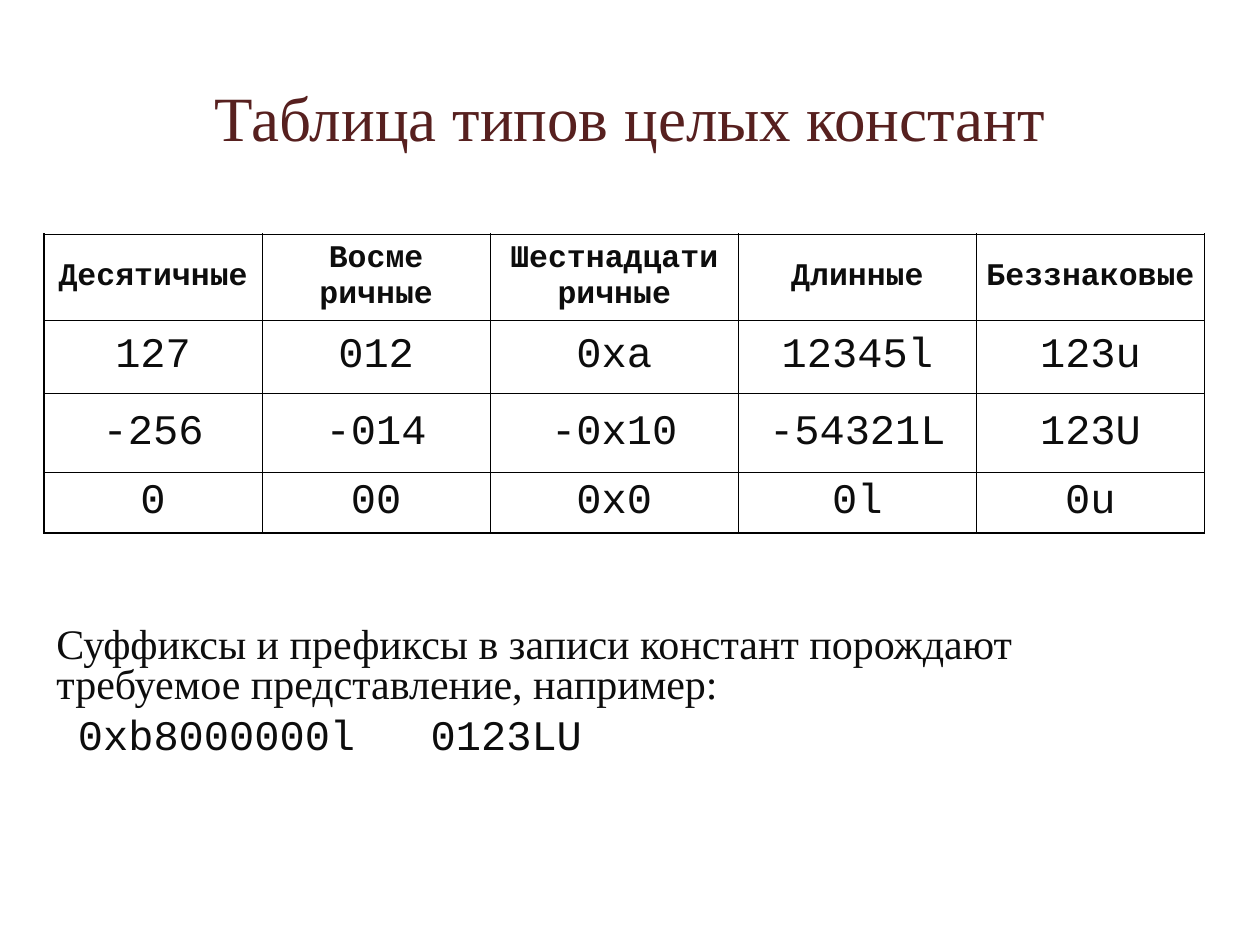
from dataclasses import dataclass

from lxml.etree import SubElement
from pptx import Presentation
from pptx.dml.color import RGBColor
from pptx.enum.text import MSO_ANCHOR as Anchor, PP_ALIGN as Align
from pptx.oxml.ns import qn
from pptx.util import Inches, Pt


@dataclass(frozen=True)
class TextStyle:
    font: str
    size: float
    color: str
    bold: bool = False


@dataclass(frozen=True)
class Theme:
    title: TextStyle = TextStyle("Times New Roman", 36, "57201F")
    header: TextStyle = TextStyle("Courier New", 18, "0D0D0D", True)
    code: TextStyle = TextStyle("Courier New", 24, "0D0D0D")
    prose: TextStyle = TextStyle("Times New Roman", 24, "0D0D0D")
    border: str = "000000"
    outer_width: float = 1.08
    inner_width: float = 0.45


@dataclass(frozen=True)
class ConstantKind:
    header: str
    width: float
    examples: tuple[str, ...]


THEME = Theme()
ROW_HEIGHTS = (0.68, 0.58, 0.63, 0.48)
KINDS = (
    ConstantKind("Десятичные", 1.73, ("127", "-256", "0")),
    ConstantKind("Восме\nричные", 1.81, ("012", "-014", "00")),
    ConstantKind("Шестнадцати\nричные", 1.97, ("0xa", "-0x10", "0x0")),
    ConstantKind("Длинные", 1.89, ("12345l", "-54321L", "0l")),
    ConstantKind("Беззнаковые", 1.81, ("123u", "123U", "0u")),
)


def write(para, text: str, style: TextStyle) -> None:
    para.text = text
    font = para.font
    font.name = style.font
    font.size = Pt(style.size)
    font.bold = style.bold
    font.color.rgb = RGBColor.from_string(style.color)


def add_border(cell, side: str, width: float) -> None:
    properties = cell._tc.get_or_add_tcPr()
    line = SubElement(properties, qn(f"a:ln{side}"), w=str(Pt(width)))
    fill = SubElement(line, qn("a:solidFill"))
    SubElement(fill, qn("a:srgbClr"), val=THEME.border)


def add_tabs(para, stops: tuple[float, ...]) -> None:
    tabs = SubElement(para._p.get_or_add_pPr(), qn("a:tabLst"))
    for stop in stops:
        SubElement(tabs, qn("a:tab"), pos=str(Inches(stop)), algn="l")


def format_cell(cell, text: str, style: TextStyle, outer: dict[str, bool]) -> None:
    cell.margin_left = cell.margin_right = Inches(0.02)
    cell.margin_top = cell.margin_bottom = Inches(0.05)
    cell.vertical_anchor = Anchor.MIDDLE
    for side, is_outer in outer.items():
        add_border(cell, side, THEME.outer_width if is_outer else THEME.inner_width)
    cell.fill.background()
    para = cell.text_frame.paragraphs[0]
    para.alignment = Align.CENTER
    write(para, text, style)


def add_title(page, text: str) -> None:
    title = page.shapes.title
    title.left, title.top = Inches(0.5), Inches(0.3)
    title.width, title.height = Inches(9), Inches(1.25)
    title.text_frame.vertical_anchor = Anchor.MIDDLE
    para = title.text_frame.paragraphs[0]
    para.alignment = Align.CENTER
    write(para, text, THEME.title)


def add_constants_table(page, kinds: tuple[ConstantKind, ...]) -> None:
    last_row, last_column = len(ROW_HEIGHTS) - 1, len(kinds) - 1
    table = page.shapes.add_table(
        len(ROW_HEIGHTS), len(kinds), Inches(0.35), Inches(1.86),
        Inches(sum(kind.width for kind in kinds)), Inches(sum(ROW_HEIGHTS)),
    ).table
    table.first_row = table.horz_banding = False
    for row, height in zip(table.rows, ROW_HEIGHTS):
        row.height = Inches(height)
    for column, kind in enumerate(kinds):
        table.columns[column].width = Inches(kind.width)
        for row, text in enumerate((kind.header, *kind.examples)):
            outer = {"L": column == 0, "R": column == last_column,
                     "T": row == 0, "B": row == last_row}
            style = THEME.code if row else THEME.header
            format_cell(table.cell(row, column), text, style, outer)


def add_explanation(page) -> None:
    box = page.shapes.add_textbox(Inches(0.35), Inches(4.93), Inches(9.13), Inches(1.26))
    frame = box.text_frame
    frame.word_wrap = True
    prose = frame.paragraphs[0]
    prose.line_spacing = 0.8
    write(prose, "Суффиксы и префиксы в записи констант порождают "
                 "требуемое представление, например:", THEME.prose)
    examples = frame.add_paragraph()
    examples.line_spacing = 0.8
    examples.space_before = Pt(6)
    add_tabs(examples, (0.17, 2.97))
    write(examples, "\t0xb8000000l\t0123LU", THEME.code)


def main() -> None:
    deck = Presentation()
    deck.slide_width, deck.slide_height = Inches(10), Inches(7.5)
    page = deck.slides.add_slide(deck.slide_layouts[5])
    add_title(page, "Таблица типов целых констант")
    add_constants_table(page, KINDS)
    add_explanation(page)
    deck.save("out.pptx")


if __name__ == "__main__":
    main()
